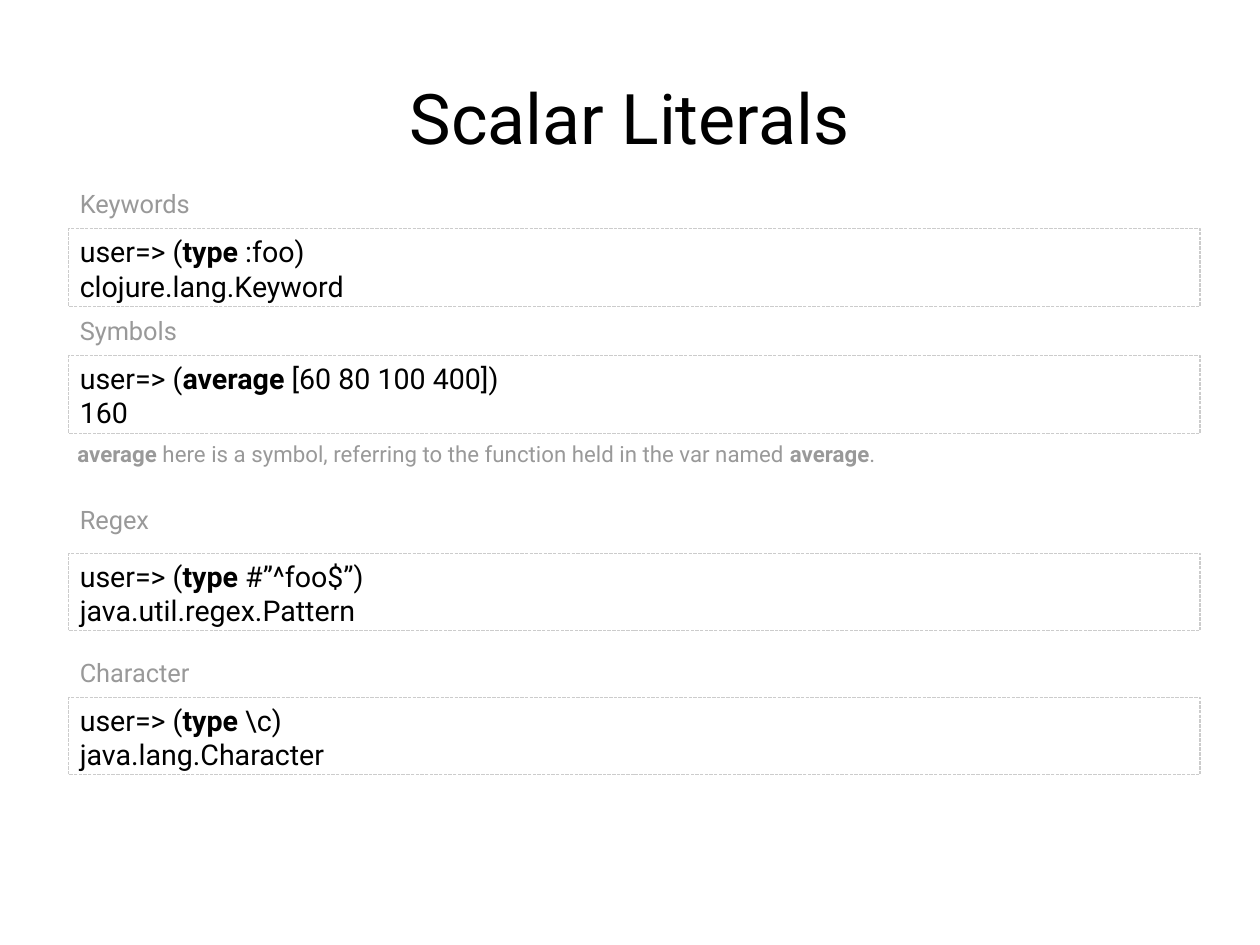
from dataclasses import dataclass

import pptx
import pptx.dml.color
import pptx.enum.dml
import pptx.enum.shapes
import pptx.enum.text
import pptx.util
from pptx.util import Inches

BLACK = pptx.dml.color.RGBColor(0x00, 0x00, 0x00)
GRAY = pptx.dml.color.RGBColor(0x99, 0x99, 0x99)
BORDER = pptx.dml.color.RGBColor(0xCC, 0xCC, 0xCC)
FONT = "Roboto"
CM_PER_INCH = 2.54
LEFT, WIDTH = 0.6, 9.9


@dataclass(frozen=True)
class Example:
    heading: str
    heading_top: float
    code_top: float
    function: str
    argument: str
    result: str


EXAMPLES = [
    Example("Keywords", 1.6, 2.0, "type", ":foo", "clojure.lang.Keyword"),
    Example("Symbols", 2.71, 3.11, "average", "[60 80 100 400]", "160"),
    Example("Regex", 4.36, 4.84, "type", "#”^foo$”", "java.util.regex.Pattern"),
    Example("Character", 5.7, 6.1, "type", "\\c", "java.lang.Character"),
]


def write_lines(frame: pptx.text.text.TextFrame, lines: list[list[str]],
                size: int, color: pptx.dml.color.RGBColor, bold_word: str = "") -> None:
    """Write one paragraph per list of pieces, with bold_word in bold."""
    frame.word_wrap = True
    frame.vertical_anchor = pptx.enum.text.MSO_ANCHOR.TOP
    for index, pieces in enumerate(lines):
        paragraph = frame.paragraphs[0] if index == 0 else frame.add_paragraph()
        paragraph.alignment = pptx.enum.text.PP_ALIGN.LEFT
        for piece in pieces:
            run = paragraph.add_run()
            run.text = piece
            run.font.name = FONT
            run.font.size = pptx.util.Pt(size)
            run.font.color.rgb = color
            run.font.bold = piece == bold_word


def add_label(slide: pptx.slide.Slide, left: float, top: float, width: float,
              height: float, pieces: list[str], size: int,
              color: pptx.dml.color.RGBColor = GRAY,
              bold_word: str = "") -> pptx.text.text.TextFrame:
    label = slide.shapes.add_textbox(Inches(left), Inches(top), Inches(width), Inches(height))
    write_lines(label.text_frame, [pieces], size, color, bold_word)
    return label.text_frame


def add_example(slide: pptx.slide.Slide, example: Example) -> None:
    add_label(slide, LEFT, example.heading_top, 5.1, 0.36, [example.heading], 16)
    code = slide.shapes.add_shape(
        pptx.enum.shapes.MSO_SHAPE.RECTANGLE,
        Inches(LEFT), Inches(example.code_top), Inches(WIDTH), Inches(0.68))
    code.shadow.inherit = False
    code.fill.background()
    code.line.color.rgb = BORDER
    code.line.width = Inches(0)
    code.line.dash_style = pptx.enum.dml.MSO_LINE.SQUARE_DOT
    call = ["user=> (", example.function, f" {example.argument})"]
    write_lines(code.text_frame, [call, [example.result]], 18, BLACK, example.function)


def main() -> None:
    presentation = pptx.Presentation()
    presentation.slide_width = Inches(28 / CM_PER_INCH)
    presentation.slide_height = Inches(21 / CM_PER_INCH)
    slide = presentation.slides.add_slide(presentation.slide_layouts[6])

    title = add_label(slide, 0.55, 0.33, 9.92, 1.38, ["Scalar Literals"], 44, BLACK)
    title.margin_left = title.margin_right = title.margin_top = title.margin_bottom = 0
    title.vertical_anchor = pptx.enum.text.MSO_ANCHOR.MIDDLE
    title.paragraphs[0].alignment = pptx.enum.text.PP_ALIGN.CENTER

    for example in EXAMPLES:
        add_example(slide, example)

    note = ["average",
            " here is a symbol, referring to the function held in the var named ",
            "average", "."]
    add_label(slide, 0.58, 3.8, WIDTH, 0.33, note, 14, bold_word="average")
    presentation.save("out.pptx")


if __name__ == "__main__":
    main()
